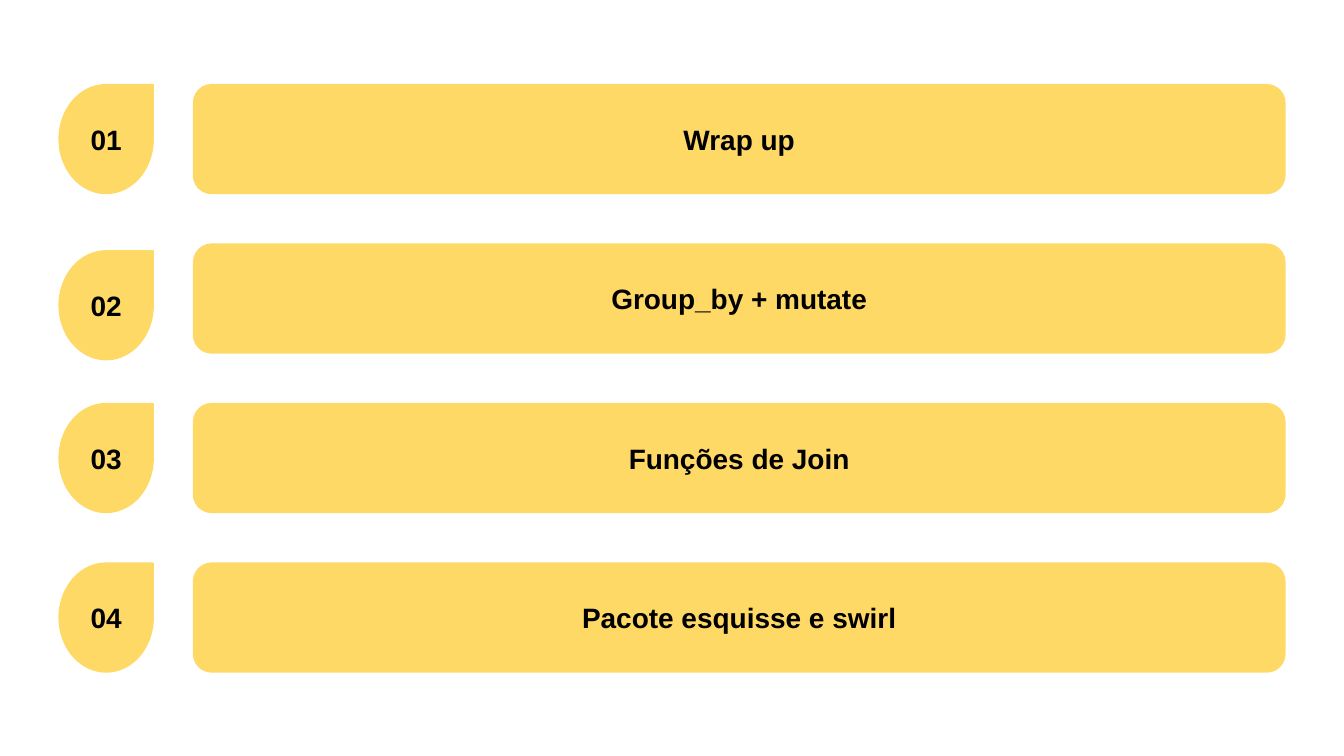
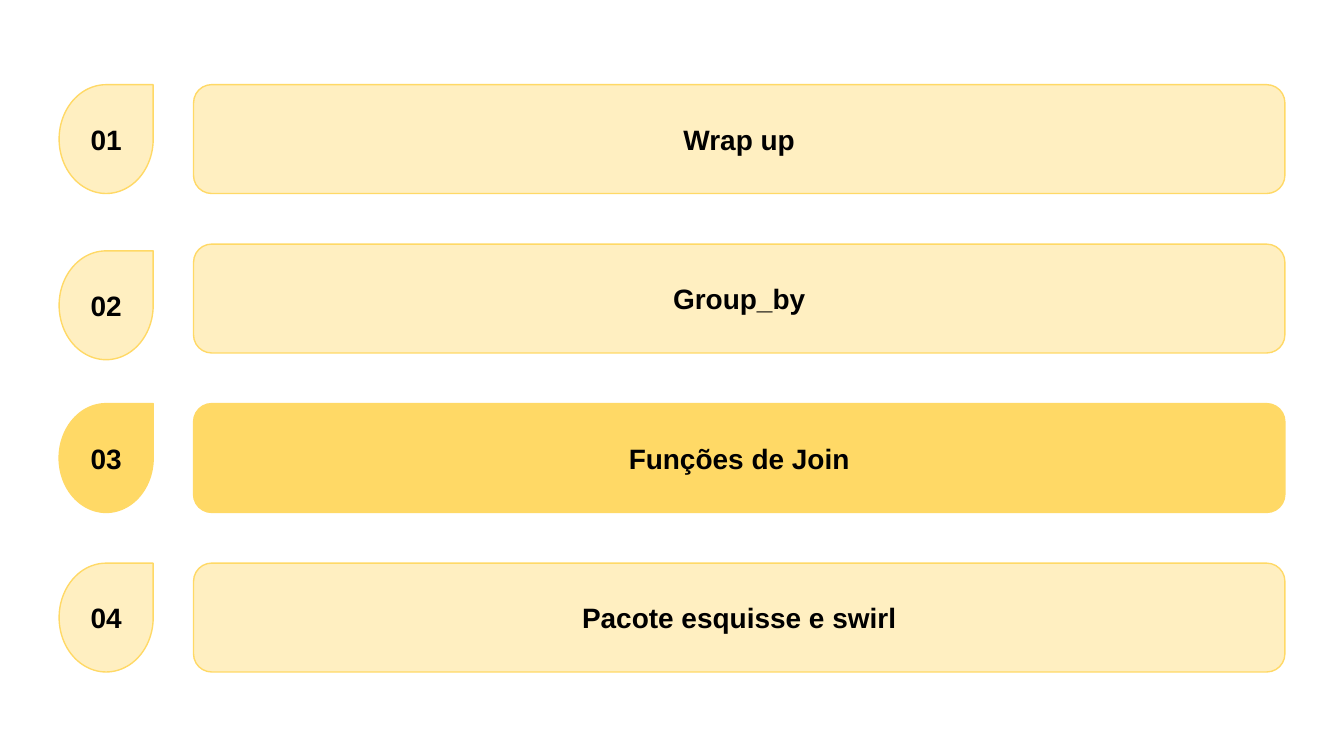
"""Build two agenda slides: all topics, then the third topic in focus."""
from dataclasses import dataclass

from lxml.etree import SubElement
from pptx import Presentation
from pptx.dml.color import RGBColor as RGB
from pptx.enum.shapes import MSO_SHAPE as Shape
from pptx.enum.text import MSO_ANCHOR as Anchor, PP_ALIGN as Align
from pptx.oxml.ns import qn
from pptx.util import Inches, Pt


@dataclass(frozen=True)
class Theme:
    gold: RGB = RGB(0xFF, 0xD9, 0x66)
    ink: RGB = RGB(0, 0, 0)
    font: str = "Arial"
    size: Pt = Pt(15)
    line: Pt = Pt(0.75)
    faint: int = 40


theme = Theme()
top, last, high = 0.63, 4.19, 0.81
step = (last - top) / 3
tag_left, tag_wide = 0.44, 0.7
bar_left, bar_wide = 1.44, 8.12
tag_drop = {2: 0.05}


def add_card(slide, kind, left, y, wide, text, lit):
    card = slide.shapes.add_shape(
        kind, Inches(left), Inches(y), Inches(wide), Inches(high))
    card.shadow.inherit = False
    card.fill.solid()
    card.fill.fore_color.rgb = theme.gold
    if not lit:
        color = card.element.spPr.find(qn("a:solidFill"))[0]
        SubElement(color, qn("a:alpha"), val=str(theme.faint * 1000))
    card.line.color.rgb = theme.gold
    card.line.width = theme.line

    frame = card.text_frame
    frame.word_wrap = True
    frame.vertical_anchor = Anchor.MIDDLE
    frame.margin_left = frame.margin_right = Inches(0.1)
    frame.margin_top = frame.margin_bottom = Inches(0.1)
    frame.text = text
    para = frame.paragraphs[0]
    para.alignment = Align.CENTER
    para.font.name = theme.font
    para.font.size = theme.size
    para.font.bold = True
    para.font.color.rgb = theme.ink


deck = Presentation()
deck.slide_width = Inches(10)
deck.slide_height = deck.slide_width * 9 // 16
blank = deck.slide_layouts.get_by_name("Blank")

agendas = [
    ("Group_by + mutate", {1, 2, 3, 4}),
    ("Group_by", {3}),
]

for second, focus in agendas:
    slide = deck.slides.add_slide(blank)
    topics = ["Wrap up", second, "Funções de Join", "Pacote esquisse e swirl"]
    rows = [(num, top + (num - 1) * step, topic)
            for num, topic in enumerate(topics, 1)]
    for num, y, topic in rows:
        add_card(slide, Shape.ROUNDED_RECTANGLE, bar_left, y, bar_wide,
                 topic, num in focus)
    for num, y, topic in rows:
        add_card(slide, Shape.TEAR, tag_left, y + tag_drop.get(num, 0), tag_wide,
                 f"{num:02d}", num in focus)

deck.save("out.pptx")
